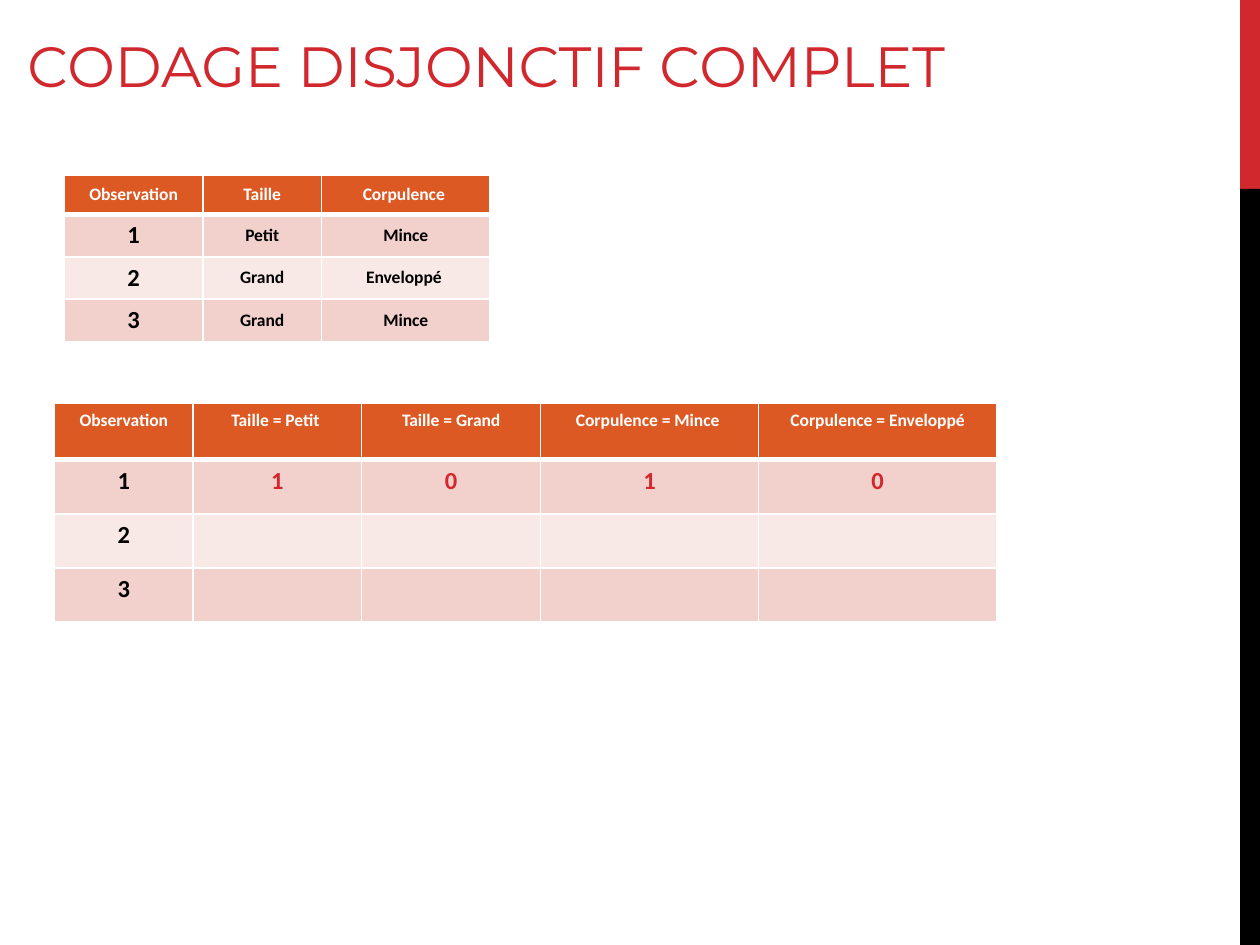
import pptx
import pptx.dml.color
import pptx.enum.shapes
import pptx.enum.text
import pptx.oxml
import pptx.oxml.ns
import pptx.util
from pptx.util import Cm

COLOURS = {
    "red": "D1282E",
    "orange": "DC5924",
    "dark_band": "F2D0CB",
    "light_band": "F8E9E7",
    "white": "FFFFFF",
    "black": "000000",
}
ANCHOR = pptx.enum.text.MSO_ANCHOR
ALIGN = pptx.enum.text.PP_ALIGN


def colour(name):
    return pptx.dml.color.RGBColor.from_string(COLOURS[name])


def add_span(para, text, font, size, ink, bold=False):
    span = para.add_run()
    span.text = text
    span.font.name = font
    span.font.size = pptx.util.Pt(size)
    span.font.bold = bold
    span.font.color.rgb = colour(ink)


def add_sidebar(page, left, top, width, height):
    """Red block over a black one, along the right edge."""
    red_height = height * 0.2
    parts = [("red", top, red_height),
             ("black", top + red_height, height - red_height)]
    for name, part_top, part_height in parts:
        box = page.shapes.add_shape(
            pptx.enum.shapes.MSO_SHAPE.RECTANGLE,
            Cm(left), Cm(part_top), Cm(width), Cm(part_height))
        box.shadow.inherit = False
        box.fill.solid()
        box.fill.fore_color.rgb = colour(name)
        box.line.fill.background()


def add_title(page, text, left, top, width, height):
    box = page.shapes.title
    box.left, box.top, box.width, box.height = map(Cm, (left, top, width, height))
    frame = box.text_frame
    frame.word_wrap = True
    frame.auto_size = pptx.enum.text.MSO_AUTO_SIZE.NONE
    frame.vertical_anchor = ANCHOR.BOTTOM
    para = frame.paragraphs[0]
    para.alignment = ALIGN.LEFT
    add_span(para, text, "Montserrat", 32.4, "red")


def set_borders(cell, top, bottom):
    """White borders; they come before the fill in the cell properties."""
    properties = cell._tc.get_or_add_tcPr()
    widths = {"L": 1, "R": 1, "T": top, "B": bottom}
    for index, (side, points) in enumerate(widths.items()):
        properties.insert(index, pptx.oxml.parse_xml(
            f'<a:ln{side} {pptx.oxml.ns.nsdecls("a")} w="{pptx.util.Pt(points)}">'
            f'<a:solidFill><a:srgbClr val="{COLOURS["white"]}"/></a:solidFill>'
            f'</a:ln{side}>'))


def add_banded_table(page, left, top, widths, heights, rows, anchor):
    """Orange header over pink bands; numbers are larger than words."""
    frame = page.shapes.add_table(
        len(rows), len(widths), Cm(left), Cm(top),
        Cm(sum(widths)), Cm(sum(heights)))
    table = frame.table
    for column, width in zip(table.columns, widths):
        column.width = Cm(width)
    for row, height in zip(table.rows, heights):
        row.height = Cm(height)

    for r, texts in enumerate(rows):
        band = "orange" if r == 0 else "dark_band" if r % 2 else "light_band"
        for c, text in enumerate(texts):
            cell = table.cell(r, c)
            cell.vertical_anchor = anchor
            cell.fill.solid()
            cell.fill.fore_color.rgb = colour(band)
            set_borders(cell, 3 if r == 1 else 1, 3 if r == 0 else 1)
            para = cell.text_frame.paragraphs[0]
            para.alignment = ALIGN.CENTER
            if text:
                number = text.isdigit()
                ink = "white" if r == 0 else "red" if number and c else "black"
                add_span(para, text, "Calibri", 14 if number else 10, ink, True)


def main():
    deck = pptx.Presentation()
    deck.slide_width, deck.slide_height = Cm(25.4), Cm(19.05)
    page = deck.slides.add_slide(deck.slide_layouts.get_by_name("Title Only"))

    add_sidebar(page, 25, 0, 0.4, 19.05)
    add_title(page, "CODAGE DISJONCTIF COMPLET", 0.3, 0.33, 21.6, 1.8)

    # Observations as collected
    add_banded_table(
        page, 1.3, 3.53, [2.79, 2.39, 3.4], [0.79] * 4,
        [["Observation", "Taille", "Corpulence "],
         ["1", "Petit", "Mince"],
         ["2", "Grand", "Enveloppé "],
         ["3", "Grand", "Mince"]],
        ANCHOR.MIDDLE)

    # One indicator column for each category
    blanks = [""] * 4
    add_banded_table(
        page, 1.1, 8.13, [2.79, 3.4, 3.61, 4.39, 4.8], [1.14] + [1.09] * 3,
        [["Observation", "Taille = Petit ", "Taille = Grand",
          "Corpulence = Mince ", "Corpulence = Enveloppé"],
         ["1", "1", "0", "1", "0"],
         ["2", *blanks],
         ["3", *blanks]],
        ANCHOR.TOP)

    deck.save("out.pptx")


if __name__ == "__main__":
    main()
